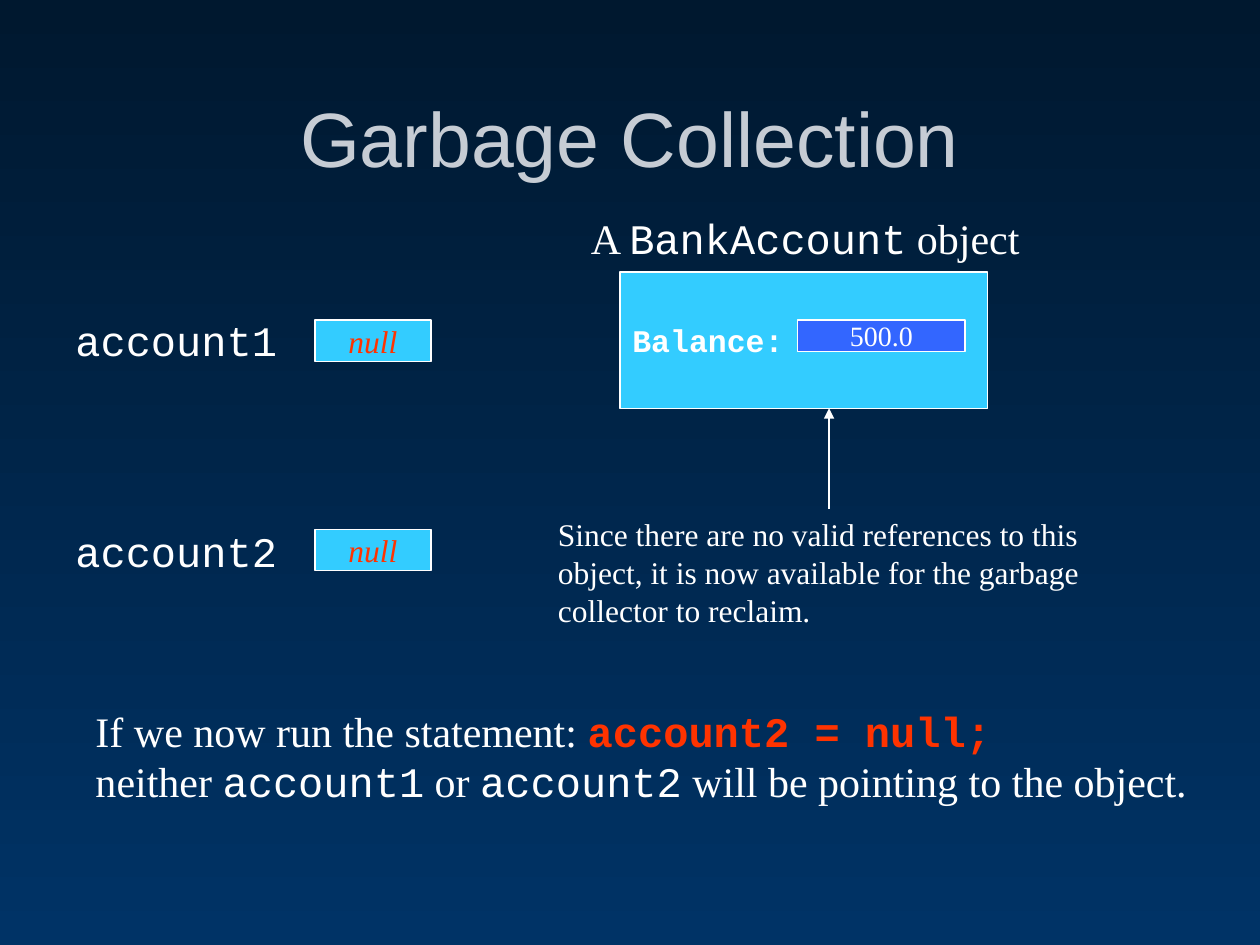
from lxml.etree import SubElement
from pptx import Presentation
from pptx.dml.color import RGBColor
from pptx.enum.shapes import MSO_CONNECTOR as Connector, MSO_SHAPE as Shape
from pptx.enum.text import MSO_ANCHOR as Anchor, PP_ALIGN as Align
from pptx.oxml.ns import qn
from pptx.util import Inches, Pt

COLORS = {
    "top": "00182F",
    "bottom": "003366",
    "title": "C6CCD4",
    "white": "FFFFFF",
    "red": "FF3300",
    "cyan": "33CCFF",
    "blue": "3366FF",
}
SERIF, CODE = "Times New Roman", "Courier New"


def color(name):
    return RGBColor.from_string(COLORS[name])


def write(shape, lines, size, font=SERIF, ink="white", align=Align.LEFT,
          anchor=Anchor.TOP, wrap=True):
    frame = shape.text_frame
    frame.word_wrap = wrap
    frame.vertical_anchor = anchor
    for index, line in enumerate(lines):
        paragraph = frame.add_paragraph() if index else frame.paragraphs[0]
        paragraph.alignment = align
        paragraph.font.size = Pt(size)
        paragraph.font.name = font
        paragraph.font.color.rgb = color(ink)
        for text, run_font in line:
            run = paragraph.add_run()
            run.text = text
            if run_font != font:
                run.font.name = run_font
    return frame


presentation = Presentation()
presentation.slide_width = Inches(10)
presentation.slide_height = Inches(7.5)
slide = presentation.slides.add_slide(presentation.slide_layouts[6])
shapes = slide.shapes

background = slide.background.fill
background.gradient()
background.gradient_angle = 270
for stop, name, position in zip(background.gradient_stops, ("top", "bottom"), (0, 1)):
    stop.color.rgb = color(name)
    stop.position = position

title = shapes.add_textbox(Inches(0.5), Inches(0.25), Inches(9), Inches(1.25))
write(title, [[("Garbage Collection", "Arial")]], 44, "Arial", "title",
      Align.CENTER, Anchor.BOTTOM)

statement = shapes.add_textbox(Inches(0.66), Inches(5.55), Inches(8.86), Inches(0.9))
statement_frame = write(statement, [
    [("If we now run the statement: ", SERIF), ("account2 = null;", CODE)],
    [("neither ", SERIF), ("account1", CODE), (" or ", SERIF), ("account2", CODE),
     (" will be pointing to the object.", SERIF)],
], 24, wrap=False)
assignment = statement_frame.paragraphs[0].runs[1]
assignment.font.bold = True
assignment.font.color.rgb = color("red")

note = shapes.add_textbox(Inches(4.33), Inches(4.04), Inches(4.5), Inches(1))
write(note, [
    [("Since there are no valid references to this", SERIF)],
    [("object, it is now available for the garbage", SERIF)],
    [("collector to reclaim.", SERIF)],
], 18)

caption = shapes.add_textbox(Inches(4.59), Inches(1.64), Inches(3.62), Inches(0.5))
write(caption, [[("A ", SERIF), ("BankAccount", CODE), (" object", SERIF)]], 24, wrap=False)

for name, top in (("account1", 2.45), ("account2", 4.12)):
    label = shapes.add_textbox(Inches(0.5), Inches(top), Inches(1.83), Inches(0.5))
    write(label, [[(name, CODE)]], 24, CODE)

boxes = [
    ("null", 2.5, 2.54, 0.92, 0.33, "cyan", 18, SERIF, "red", Align.CENTER),
    ("null", 2.5, 4.2, 0.92, 0.33, "cyan", 18, SERIF, "red", Align.CENTER),
    ("Balance:", 4.92, 2.16, 2.92, 1.08, "cyan", 18, CODE, "white", Align.LEFT),
    ("500.0", 6.33, 2.54, 1.33, 0.25, "blue", 16, SERIF, "white", Align.CENTER),
]
for text, left, top, width, height, fill, size, font, ink, align in boxes:
    box = shapes.add_shape(Shape.RECTANGLE, Inches(left), Inches(top),
                           Inches(width), Inches(height))
    box.shadow.inherit = False
    box.fill.solid()
    box.fill.fore_color.rgb = color(fill)
    box.line.color.rgb = color("white")
    box.line.width = Pt(0.75)
    frame = write(box, [[(text, font)]], size, font, ink, align, Anchor.MIDDLE,
                  wrap=align == Align.LEFT)
    frame.paragraphs[0].font.italic = text == "null"
    frame.paragraphs[0].font.bold = font == CODE

arrow = shapes.add_connector(Connector.STRAIGHT, Inches(6.58), Inches(4.04),
                             Inches(6.58), Inches(3.24))
arrow.begin_connect(note, 0)
arrow.line.color.rgb = color("white")
arrow.line.width = Pt(0.75)
SubElement(arrow.line._get_or_add_ln(), qn("a:tailEnd"), type="triangle")
SubElement(arrow._element.spPr, qn("a:effectLst"))

presentation.save("out.pptx")
